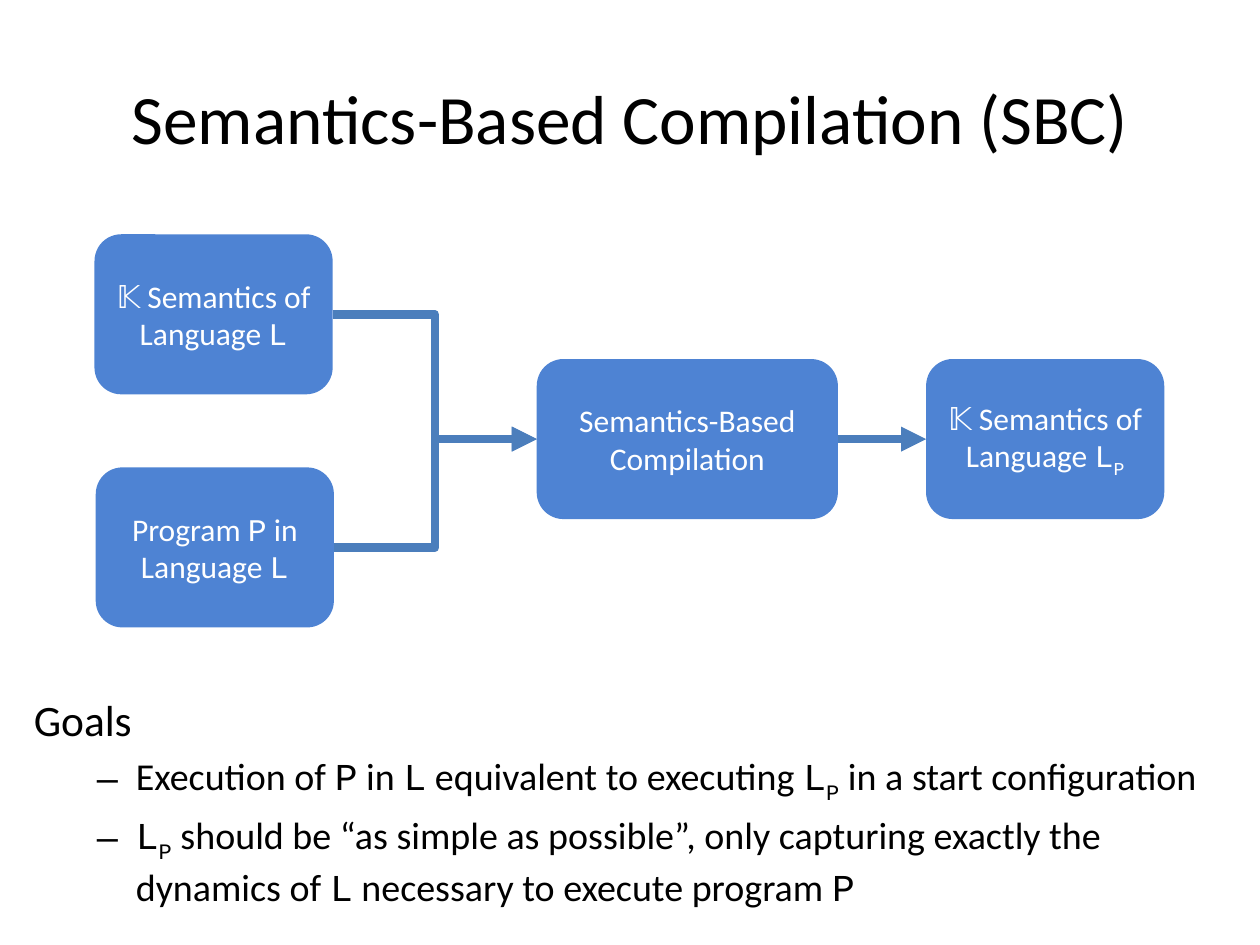
from lxml.etree import SubElement
from pptx import Presentation
from pptx.dml.color import RGBColor
from pptx.enum.shapes import MSO_CONNECTOR as Connector, MSO_SHAPE as Preset
from pptx.enum.text import MSO_ANCHOR as Anchor, PP_ALIGN as Align
from pptx.oxml.ns import qn
from pptx.util import Inches, Pt

THEME = {
    "box": RGBColor.from_string("4E83D3"),
    "arrow": RGBColor.from_string("4B7EBC"),
    "dark": RGBColor.from_string("000000"),
    "light": RGBColor.from_string("FFFFFF"),
    "title_size": 39.6,
    "goals_size": 24.8,
    "bullet_size": 21.7,
    "box_size": 18,
    "arrow_width": 4.75,
    "fonts": {"text": "Calibri", "code": "Courier New", "sub": "Courier New"},
}

TITLE = [("Semantics-Based Compilation (SBC)", "text")]
LANGUAGE, PROGRAM = ("L", "code"), ("P", "code")
SPECIALIZED = [LANGUAGE, ("P", "sub")]
SEMANTICS = ("𝕂 Semantics of Language ", "text")

HEADING = [("Goals", "text")]
GOALS = [
    [("Execution of ", "text"), PROGRAM, (" in ", "text"), LANGUAGE,
     (" equivalent to executing ", "text"), *SPECIALIZED,
     (" in a start configuration", "text")],
    [*SPECIALIZED,
     (" should be “as simple as possible”, only capturing exactly the dynamics of ", "text"),
     LANGUAGE, (" necessary to execute program ", "text"), PROGRAM],
]

BOX_HEIGHT = 1.27
BOXES = {
    "program": (0.76, 3.71, 1.89,
                [("Program ", "text"), PROGRAM, (" in Language ", "text"), LANGUAGE]),
    "compiler": (4.26, 2.85, 2.39, [("Semantics-Based Compilation", "text")]),
    "semantics": (0.75, 1.86, 1.89, [SEMANTICS, LANGUAGE]),
    "result": (7.35, 2.85, 1.89, [SEMANTICS, *SPECIALIZED]),
}
ARROWS = [("program", "compiler"), ("semantics", "compiler"), ("compiler", "result")]


def set_format(target, values):
    """Set every attribute named in values on the target."""
    for name, value in values.items():
        setattr(target, name, value)


def write_runs(paragraph, runs, size, color):
    """Write styled runs into a paragraph."""
    for text, style in runs:
        run = paragraph.add_run()
        run.text = text
        set_format(run.font, {"name": THEME["fonts"][style], "size": Pt(size)})
        run.font.color.rgb = color
        if style == "sub":
            run._r.get_or_add_rPr().set("baseline", "-25000")


def add_text(slide, left, top, width, height, anchor):
    """Add a wrapping text box and return its frame."""
    frame = slide.shapes.add_textbox(*map(Inches, (left, top, width, height))).text_frame
    set_format(frame, {"word_wrap": True, "vertical_anchor": anchor})
    return frame


def add_box(slide, left, top, width, runs):
    """Add a rounded box with a centred label."""
    shape = slide.shapes.add_shape(
        Preset.ROUNDED_RECTANGLE, *map(Inches, (left, top, width, BOX_HEIGHT)))
    shape.shadow.inherit = False
    shape.fill.solid()
    shape.fill.fore_color.rgb = THEME["box"]
    shape.line.fill.background()
    set_format(shape.text_frame, {"word_wrap": True, "vertical_anchor": Anchor.MIDDLE})
    paragraph = shape.text_frame.paragraphs[0]
    paragraph.alignment = Align.CENTER
    write_runs(paragraph, runs, THEME["box_size"], THEME["light"])
    return shape


def add_arrow(slide, source, target):
    """Join the right side of one box to the left side of another."""
    connector = slide.shapes.add_connector(Connector.ELBOW, 0, 0, 0, 0)
    connector.begin_connect(source, 3)
    connector.end_connect(target, 1)
    connector.line.color.rgb = THEME["arrow"]
    connector.line.width = Pt(THEME["arrow_width"])
    SubElement(connector.line._get_or_add_ln(), qn("a:tailEnd"), type="triangle")
    SubElement(connector._element.spPr, qn("a:effectLst"))


def add_goal(frame, runs):
    """Add a dashed goal with a hanging indent."""
    paragraph = frame.add_paragraph()
    set_format(paragraph, {"level": 1, "space_before": Pt(THEME["bullet_size"] * 0.2)})
    properties = paragraph._p.get_or_add_pPr()
    properties.set("marL", str(Inches(0.81)))
    properties.set("indent", str(Inches(-0.31)))
    SubElement(properties, qn("a:buFont"), typeface="Arial")
    SubElement(properties, qn("a:buChar"), char="–")
    write_runs(paragraph, runs, THEME["bullet_size"], THEME["dark"])


def main():
    """Build the slide and save it."""
    presentation = Presentation()
    set_format(presentation, {"slide_width": Inches(10), "slide_height": Inches(7.5)})
    slide = presentation.slides.add_slide(presentation.slide_layouts[6])

    title = add_text(slide, 0.5, 0.3, 9, 1.25, Anchor.MIDDLE).paragraphs[0]
    title.alignment = Align.CENTER
    write_runs(title, TITLE, THEME["title_size"], THEME["dark"])

    goals = add_text(slide, 0.17, 5.45, 9.67, 1.76, Anchor.TOP)
    write_runs(goals.paragraphs[0], HEADING, THEME["goals_size"], THEME["dark"])
    for runs in GOALS:
        add_goal(goals, runs)

    shapes = {name: add_box(slide, *box) for name, box in BOXES.items()}
    for source, target in ARROWS:
        add_arrow(slide, shapes[source], shapes[target])

    presentation.save("out.pptx")


if __name__ == "__main__":
    main()
